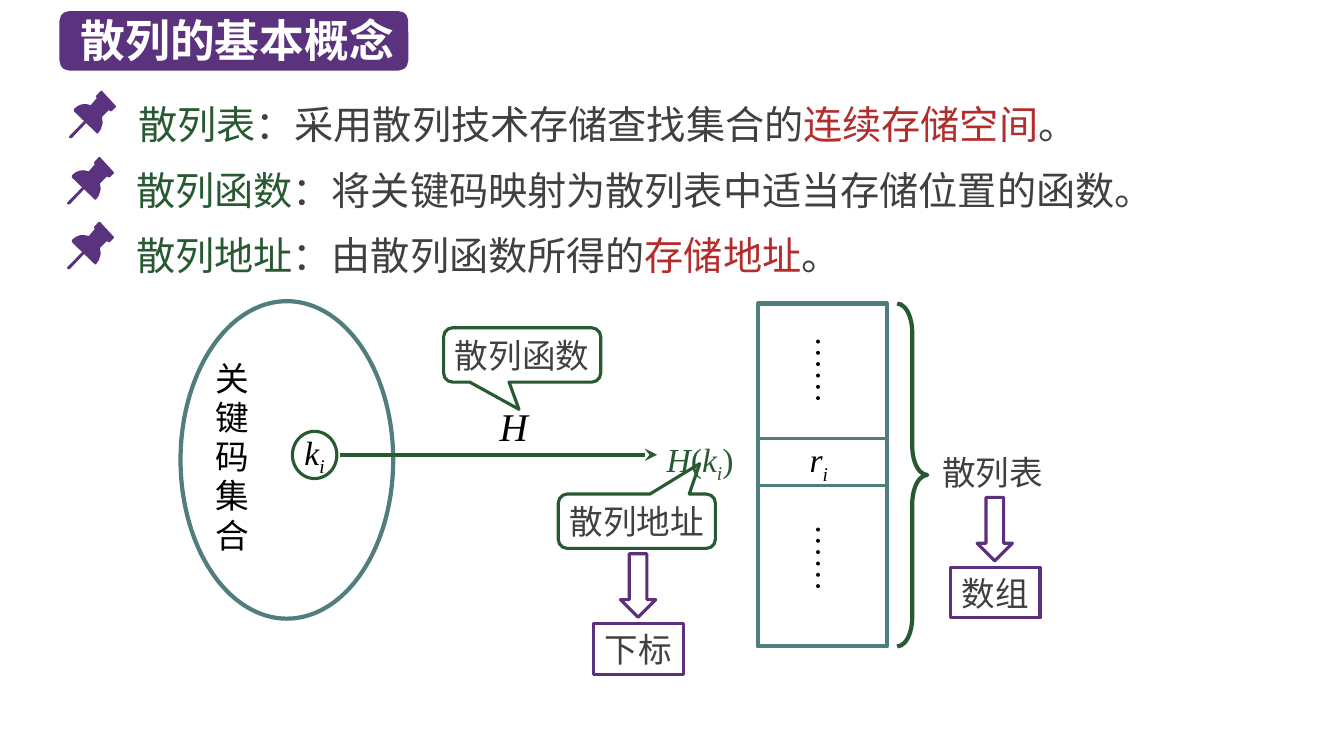
import pptx
import pptx.dml.color
import pptx.enum.shapes
import pptx.enum.text
import pptx.oxml
import pptx.oxml.ns
import pptx.util
from lxml import etree

Cm, Pt = pptx.util.Cm, pptx.util.Pt
SHAPE = pptx.enum.shapes.MSO_SHAPE
ALIGN = pptx.enum.text.PP_ALIGN
ANCHOR = pptx.enum.text.MSO_ANCHOR
qn = pptx.oxml.ns.qn

COLORS = {"purple": "5A327D", "frame": "5C307D", "teal": "507D7D", "green": "285A32",
          "red": "B42D2D", "grey": "404040", "black": "000000", "white": "FFFFFF"}
SANS, SERIF = "Noto Sans CJK SC", "Times New Roman"
TEXT_SHADOW = (
    f'<a:effectLst {pptx.oxml.ns.nsdecls("a")}>'
    '<a:outerShdw blurRad="38100" dist="38100" dir="2700000">'
    '<a:srgbClr val="C0C0C0"/></a:outerShdw></a:effectLst>')

# Pushpin outlines in hundredths of a centimetre
PIN_HEAD = [(119, 38), (84, 0), (81, 0), (69, 13), (69, 15), (71, 18), (56, 36),
            (43, 33), (33, 34), (23, 38), (13, 46), (13, 51), (71, 107), (74, 107),
            (81, 97), (86, 81), (84, 66), (102, 48), (104, 51), (109, 51), (119, 41)]
PIN_NEEDLE = [(5, 119), (3, 119), (1, 117), (2, 114), (41, 74), (46, 74), (46, 79), (8, 119)]


class Deck:
    """Slide style and the elements it is made of; lengths are in centimetres."""

    def __init__(self, slide):
        self.slide = slide

    def color(self, name):
        return pptx.dml.color.RGBColor.from_string(COLORS[name])

    def paint(self, shape, fill=None, line=None, width=3):
        shape.shadow.inherit = False
        if fill:
            shape.fill.solid()
            shape.fill.fore_color.rgb = self.color(fill)
        else:
            shape.fill.background()
        if line:
            shape.line.color.rgb = self.color(line)
            shape.line.width = Pt(width)
        else:
            shape.line.fill.background()

    def label(self, shape, parts, size=24, font=SANS, align=ALIGN.CENTER, anchor=ANCHOR.MIDDLE,
              insets=(0, 0, 0, 0), wrap=True, spacing=None, bold=False, shadow=False):
        """Each part is (text, color, style); style holds "i" for italic, "s" for subscript."""
        frame = shape.text_frame
        frame.word_wrap, frame.vertical_anchor = wrap, anchor
        (frame.margin_left, frame.margin_top,
         frame.margin_right, frame.margin_bottom) = map(Cm, insets)
        paragraph = frame.paragraphs[0]
        paragraph.alignment = align
        if spacing:
            paragraph.line_spacing = spacing
        for text, color, style in parts:
            run = paragraph.add_run()
            run.text = text
            run.font.size, run.font.bold = Pt(size), bold
            run.font.italic = "i" in style
            run.font.color.rgb = self.color(color)
            run.font.name = font
            properties = run._r.get_or_add_rPr()
            etree.SubElement(properties, qn("a:ea"), typeface=font)
            if "s" in style:
                properties.set("baseline", "-25000")
            if shadow:
                properties.find(qn("a:solidFill")).addnext(pptx.oxml.parse_xml(TEXT_SHADOW))

    def shape(self, kind, box, fill=None, line=None, width=3, adjust=(), turn=0):
        shape = self.slide.shapes.add_shape(kind, *map(Cm, box))
        self.paint(shape, fill, line, width)
        for index, value in enumerate(adjust):
            shape.adjustments[index] = value
        shape.rotation = turn
        return shape

    def text(self, box, parts, vertical=False, **style):
        textbox = self.slide.shapes.add_textbox(*map(Cm, box))
        self.label(textbox, parts, **style)
        if vertical:
            textbox.text_frame._txBody.bodyPr.set("vert", "eaVert")

    def line(self, start, end, color, width, arrow=False):
        connector = self.slide.shapes.add_connector(
            pptx.enum.shapes.MSO_CONNECTOR.STRAIGHT, *map(Cm, start + end))
        connector.line.color.rgb = self.color(color)
        connector.line.width = Pt(width)
        if arrow:
            etree.SubElement(connector.line._get_or_add_ln(), qn("a:tailEnd"), type="stealth")
        etree.SubElement(connector._element.spPr, qn("a:effectLst"))

    def pin(self, left, top):
        for outline in (PIN_HEAD, PIN_NEEDLE):
            builder = self.slide.shapes.build_freeform(*outline[0], scale=Cm(0.01))
            builder.add_line_segments(outline[1:], close=True)
            self.paint(builder.convert_to_shape(Cm(left), Cm(top)), fill="purple")

    def definition(self, left, top, parts):
        self.text((left + 1.5, top - 0.13, 28.5, 1.68), parts, size=28, align=ALIGN.LEFT,
                  insets=(0.25, 0, 0.25, 0), spacing=Pt(40), shadow=True)
        self.pin(left, top)

    def callout(self, left, top, term, pointer):
        bubble = self.shape(SHAPE.ROUNDED_RECTANGULAR_CALLOUT, (left, top, 3.96, 1.37),
                            line="green", width=2.25, adjust=(*pointer, 0.167))
        self.label(bubble, [(term, "grey", "")])

    def meaning(self, left, top, term):
        """A framed word with a block arrow pointing down at it."""
        frame = self.shape(SHAPE.RECTANGLE, (left, top, 2.26, 1.27), line="frame", width=2.25)
        self.label(frame, [(term, "grey", "")], wrap=False)
        self.shape(SHAPE.RIGHT_ARROW, (left + 0.32, top - 1.41, 1.6, 0.89),
                   line="frame", width=2.25, turn=90)


def main():
    presentation = pptx.Presentation()
    presentation.slide_width, presentation.slide_height = Cm(33.87), Cm(19.05)
    deck = Deck(presentation.slides.add_slide(presentation.slide_layouts[6]))

    # Title
    deck.shape(SHAPE.ROUNDED_RECTANGLE, (1.5, 0.28, 8.79, 1.5), fill="purple")
    deck.text((1.78, 0.18, 8.74, 1.63), [("散列的基本概念", "white", "")], size=32,
              align=ALIGN.LEFT, insets=(0.25, 0, 0.25, 0), bold=True)

    # Definitions
    deck.definition(1.73, 2.29, [("散列表", "green", ""),
                                 ("：采用散列技术存储查找集合的", "grey", ""),
                                 ("连续存储空间", "red", ""), ("。", "grey", "")])
    deck.definition(1.68, 3.96, [("散列函数", "green", ""),
                                 ("：将关键码映射为散列表中适当存储位置的函数。", "grey", "")])
    deck.definition(1.68, 5.59, [("散列地址", "green", ""), ("：由散列函数所得的", "grey", ""),
                                 ("存储地址", "red", ""), ("。", "grey", "")])

    # Key set
    deck.text((5.38, 9.04, 0.86, 4.88), [("关键码集合", "black", "")], align=ALIGN.LEFT,
              anchor=ANCHOR.TOP, insets=(0.04, 0, 0.04, 0), spacing=Pt(28))
    deck.shape(SHAPE.OVAL, (4.55, 7.59, 5.36, 8), line="teal")
    key = deck.shape(SHAPE.OVAL, (7.37, 10.87, 1.12, 1.19), line="green", width=2.25)
    deck.label(key, [("k", "black", "i"), ("i", "black", "is")], font=SERIF, wrap=False)

    # Hash table with the record in its middle cell
    table_left, table_top, table_width, table_height = 19.1, 7.65, 3.25, 8.64
    table = deck.shape(SHAPE.RECTANGLE, (table_left, table_top, table_width, table_height),
                       line="teal")
    deck.label(table, [("r", "black", "i"), ("i", "black", "is")], font=SERIF,
               insets=(0, 0, 0.18, 0.64))
    for divider in (11.05, 12.24):
        deck.line((table_left, divider), (table_left + table_width, divider), "teal", 2.25)
    for dots_top in (8.38, 13.13):
        deck.text((20.46, dots_top, 0.94, 2.29), [("……", "black", "")], vertical=True,
                  font=SERIF, align=ALIGN.LEFT, anchor=ANCHOR.TOP,
                  insets=(0.04, 0.1, 0.04, 0), spacing=0.96)
    deck.shape(SHAPE.RIGHT_BRACE, (22.61, table_top, 0.76, table_height), line="green",
               adjust=(0.96, 0.5))
    deck.text((23.5, 11.25, 3.07, 1.27), [("散列表", "grey", "")], align=ALIGN.LEFT,
              insets=(0.25, 0, 0.25, 0))

    # Mapping from key to address
    formula = dict(font=SERIF, align=ALIGN.LEFT, anchor=ANCHOR.TOP,
                   insets=(0.04, 0, 0.04, 0), spacing=0.96)
    deck.text((16.76, 11.05, 2.06, 0.71),
              [("H", "green", "i"), ("(", "green", ""), ("k", "green", "i"),
               ("i", "green", "is"), (")", "green", "")], **formula)
    deck.text((12.55, 10.21, 1.88, 0.94), [("H", "black", "i")], size=28, **formula)
    deck.line((8.56, 11.46), (16.56, 11.46), "green", 3, arrow=True)
    deck.callout(11.18, 8.26, "散列函数", (-0.02, 1))
    deck.callout(14.07, 12.45, "散列地址", (0.4, -1.06))

    # What the terms stand for
    deck.meaning(23.95, 14.3, "数组")
    deck.meaning(14.96, 15.72, "下标")

    presentation.save("out.pptx")


if __name__ == "__main__":
    main()
